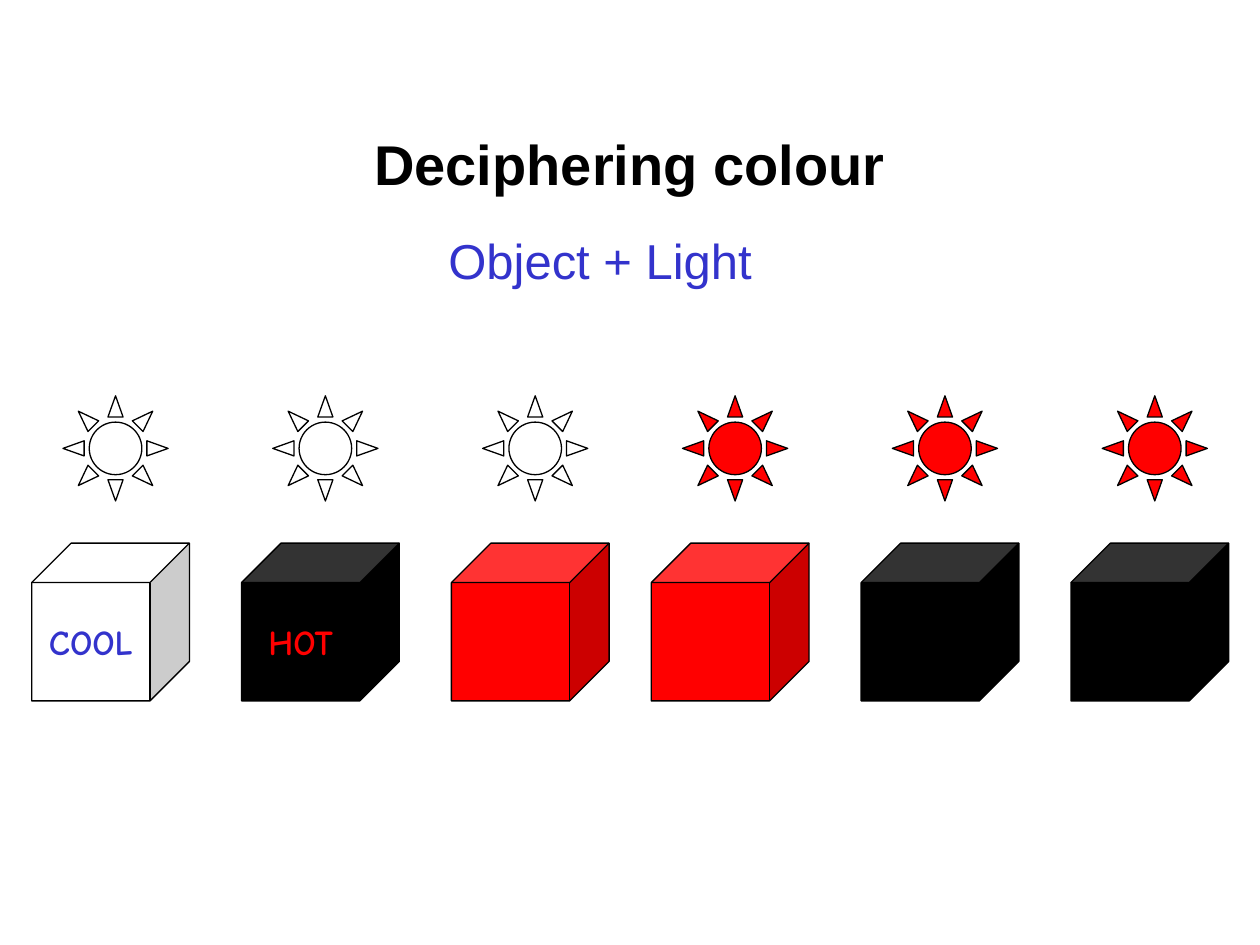
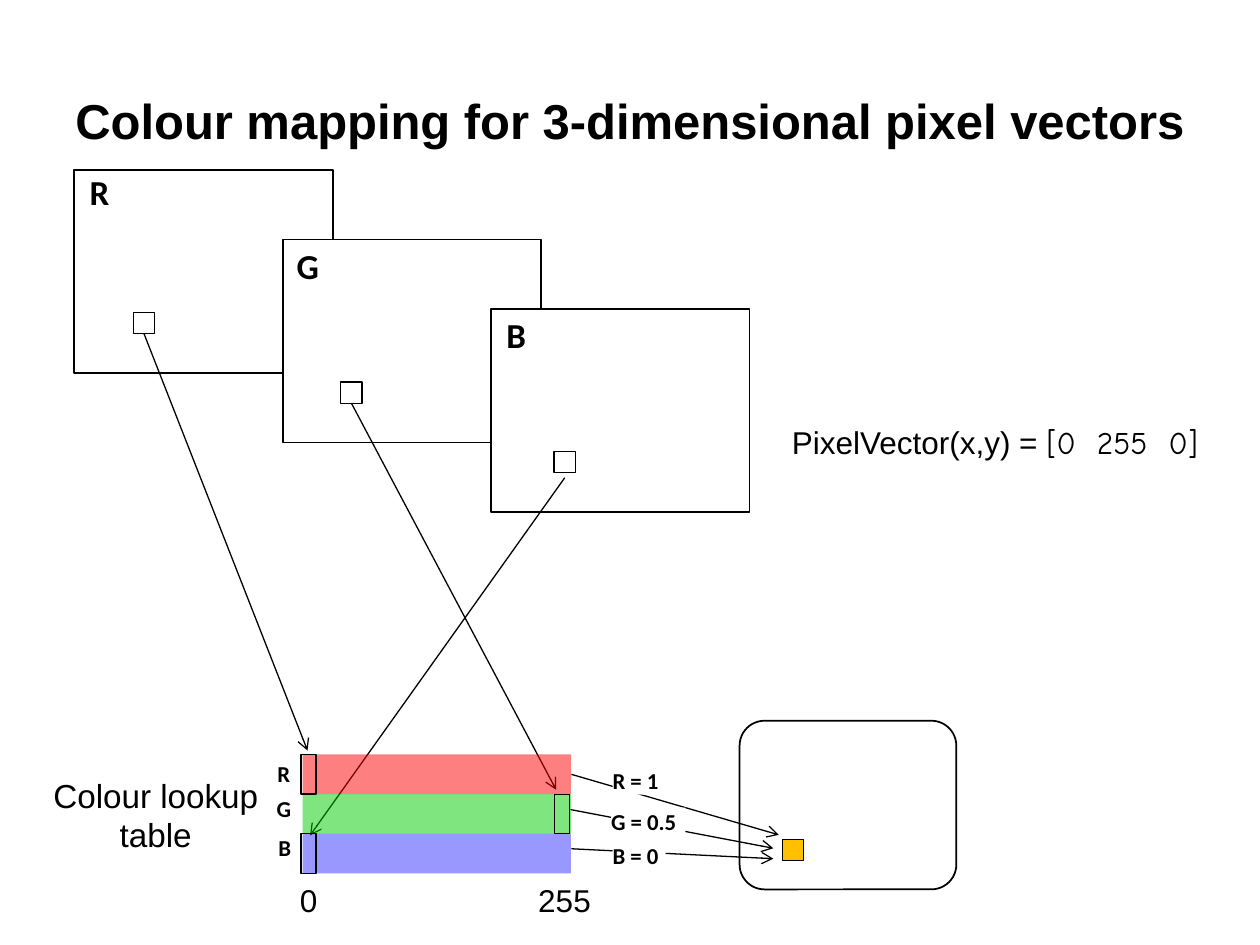
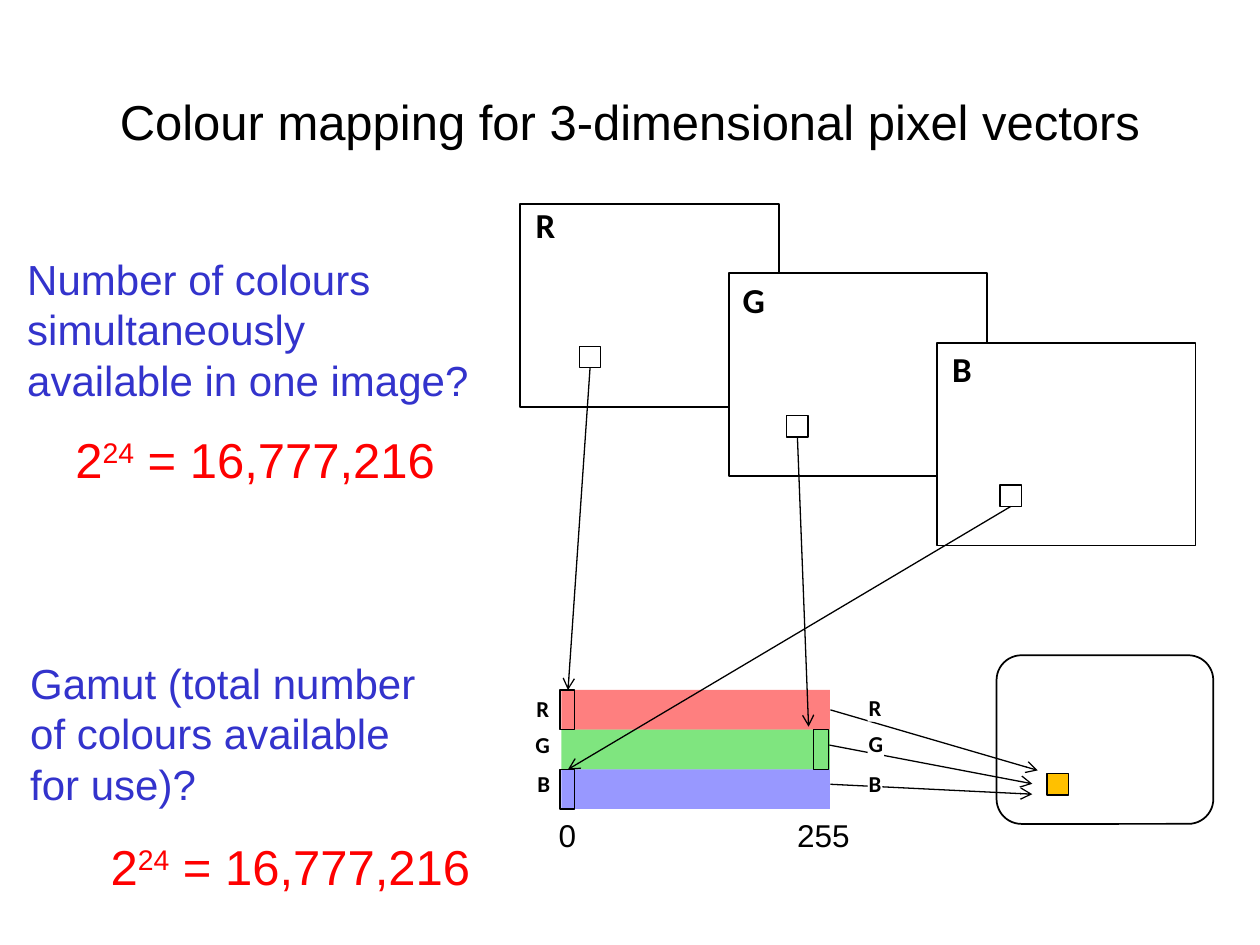
from dataclasses import dataclass

from lxml.etree import SubElement
from pptx import Presentation
from pptx.dml.color import RGBColor
from pptx.enum.shapes import MSO_CONNECTOR as LINK, MSO_SHAPE as FORM
from pptx.enum.text import MSO_ANCHOR as ANCHOR, MSO_AUTO_SIZE as FIT, PP_ALIGN as ALIGN
from pptx.oxml.ns import qn
from pptx.util import Cm, Pt


@dataclass(frozen=True)
class Theme:
    black: str = "000000"
    white: str = "FFFFFF"
    blue: str = "3333CC"
    red: str = "FF0000"
    answer: str = "FE0000"
    amber: str = "FFC000"
    bands: tuple = ("FE0000", "00CC00", "3333FF")
    sans: str = "Arial"
    label: str = "Calibri"
    comic: str = "Comic Neue"
    thin: float = 0.75
    frame: float = 1


THEME = Theme()
STYLES = {
    "opening": dict(name=THEME.sans, size=Pt(32), bold=True),
    "heading": dict(name=THEME.sans, size=Pt(28), bold=True),
    "large": dict(name=THEME.sans, size=Pt(28), bold=False),
    "question": dict(name=THEME.sans, size=Pt(24)),
    "caption": dict(name=THEME.sans, size=Pt(19)),
    "plain": dict(name=THEME.sans, size=Pt(18)),
    "face": dict(name=THEME.comic, size=Pt(20), bold=True),
    "channel": dict(name=THEME.label, size=Pt(20), bold=True),
    "small": dict(name=THEME.label, size=Pt(13), bold=True),
}

CHANNELS = ("R", "G", "B")
MAPPING_TITLE = "Colour mapping for 3-dimensional pixel vectors"

CUBE_GROUPS = [
    (0.64, THEME.white, [
        (THEME.white, "COOL", THEME.blue),
        (THEME.black, "HOT", THEME.red),
        (THEME.red, "", THEME.black),
    ]),
    (13.13, THEME.red, [
        (THEME.red, "", THEME.black),
        (THEME.black, "", THEME.black),
        (THEME.black, "", THEME.black),
    ]),
]
CUBE_STEP, CUBE_TOP, CUBE_SIZE = 4.23, 10.95, 3.18
SUN_INSET, SUN_TOP, SUN_SIZE = 0.63, 7.98, 2.12

PANEL_STEP, PANEL_SIZE = (4.2, 1.4), (5.21, 4.09)
PANEL_LABELS = [(0.1, 0), (0.1, 0.1), (0.1, 0.1)]
PIXELS = [(1.19, 2.87), (1.17, 2.87), (1.27, 2.87)]
PIXEL_SIZE = 0.43

BAND_WIDTH, BAND_HEIGHT = 5.41, 0.8
ENTRY_LEFTS, ENTRY_WIDTH = (-0.03, 5.08, -0.03), 0.3
BAND_LABELS = [(-0.53, 0.1), (-0.53, 0.82), (-0.51, 1.6)]
AXIS_LABELS = [("0", -0.36, 0.96), ("255", 4.28, 2)]
AXIS_TOP = 2.42
OUTPUT_ARROWS = [
    ((5.42, 0.4), (9.6, 1.62)),
    ((5.4, 1.11), (9.49, 1.89)),
    ((5.42, 1.9), (9.49, 2.1)),
]
SCREEN_SIZE = (4.37, 3.4)

LOOKUP = dict(
    stack=(1.5, 3.43), table=(6.1, 15.21), screen=(14.91, 14.53), lit=(15.77, 16.92),
    tips=[(0.1, -0.08), (5.11, 0.71), (0.15, 1.63)], start_gaps=(0, 0, 0.1),
    outputs=[("R = 1", 6.25, 0.25, 1.07), ("G = 0.5", 6.22, 1.07, 1.5),
             ("B = 0", 6.25, 1.75, 1.07)],
    output_align=ALIGN.LEFT,
)
GAMUT = dict(
    stack=(10.49, 4.11), table=(11.32, 13.91), screen=(20.09, 13.21), lit=(21.11, 15.6),
    tips=[(0.13, 0), (4.98, 0.74), (0.13, 1.6)], start_gaps=(0, 0, 0),
    outputs=[("R", 6.17, 0.08, 0.3), ("G", 6.17, 0.81, 0.33), ("B", 6.17, 1.6, 0.3)],
    output_align=ALIGN.CENTER,
)

PIXEL_VECTOR = [
    ("PixelVector(x,y) = ", {}, {}),
    *[(part, dict(name=THEME.comic), dict(spc="600") if part == " " else {})
      for part in ("[0", " ", "255", " ", "0]")],
]
COLOUR_COUNT = [("2", {}, {}), ("24", {}, dict(baseline="30000")), (" = 16,777,216", {}, {})]
QUESTIONS = [
    ("Number of colours simultaneously available in one image?",
     (0.3, 4.98, 9.65, 3.3), (1.27, 8.53, 7.75, 1.45)),
    ("Gamut (total number of colours available for use)?",
     (0.36, 13.13, 8.61, 3.3), (1.98, 16.74, 7.75, 1.45)),
]


def apply(target, formats):
    for key, value in formats.items():
        setattr(target, key, value)


def write(frame, text, style, color=THEME.black, align=ALIGN.CENTER):
    lines = [[(line, {}, {})] for line in text.split("\n")] if isinstance(text, str) else [text]
    for index, runs in enumerate(lines):
        paragraph = frame.add_paragraph() if index else frame.paragraphs[0]
        paragraph.alignment = align
        for words, changes, extras in runs:
            run = paragraph.add_run()
            run.text = words
            apply(run.font, {**STYLES[style], **changes})
            run.font.color.rgb = RGBColor.from_string(color)
            for key, value in extras.items():
                run.font._element.set(key, value)


def place(slide, box, text, style, color=THEME.black, align=ALIGN.CENTER,
          wrap=False, tight=False, fill=None):
    label = slide.shapes.add_textbox(*map(Cm, box))
    frame = label.text_frame
    apply(frame, dict(word_wrap=wrap, auto_size=FIT.SHAPE_TO_FIT_TEXT))
    if tight:
        apply(frame, dict(margin_left=0, margin_right=0, margin_top=0, margin_bottom=0))
    if fill:
        label.fill.solid()
        label.fill.fore_color.rgb = RGBColor.from_string(fill)
    write(frame, text, style, color, align)


def draw(slide, form, box, fill=None, line=THEME.thin, opacity=None, adjust=None):
    shape = slide.shapes.add_shape(form, *map(Cm, box))
    shape.shadow.inherit = False
    if adjust is not None:
        shape.adjustments[0] = adjust
    if fill:
        shape.fill.solid()
        shape.fill.fore_color.rgb = RGBColor.from_string(fill)
    else:
        shape.fill.background()
    if opacity:
        tint = shape.element.spPr.find(qn("a:solidFill"))[0]
        SubElement(tint, qn("a:alpha")).set("val", str(opacity * 1000))
    if line:
        shape.line.color.rgb = RGBColor.from_string(THEME.black)
        shape.line.width = Pt(line)
    else:
        shape.line.fill.background()
    return shape


def arrow(slide, start, end):
    link = slide.shapes.add_connector(LINK.STRAIGHT, *map(Cm, (*start, *end)))
    link.line.color.rgb = RGBColor.from_string(THEME.black)
    link.line.width = Pt(THEME.thin)
    properties = link._element.spPr
    SubElement(properties.find(qn("a:ln")), qn("a:tailEnd")).set("type", "arrow")
    SubElement(properties, qn("a:effectLst"))


def shift(origin, offset):
    return origin[0] + offset[0], origin[1] + offset[1]


def titled_slide(deck, heading, style, box):
    slide = deck.slides.add_slide(deck.slide_layouts[5])
    title = slide.shapes.title
    apply(title, dict(zip(("left", "top", "width", "height"), map(Cm, box))))
    title.text_frame.vertical_anchor = ANCHOR.MIDDLE
    write(title.text_frame, heading, style)
    return slide


def draw_bands(slide, plan):
    for row, color in enumerate(THEME.bands):
        corner = shift(plan["table"], (0, row * BAND_HEIGHT))
        draw(slide, FORM.RECTANGLE, (*corner, BAND_WIDTH, BAND_HEIGHT), color, None, 50)
    for channel, offset in zip(CHANNELS, BAND_LABELS):
        place(slide, (*shift(plan["table"], offset), 0.3, 0.56), channel, "small", tight=True)


def draw_entries(slide, plan):
    for row, left in enumerate(ENTRY_LEFTS):
        corner = shift(plan["table"], (left, row * BAND_HEIGHT))
        draw(slide, FORM.RECTANGLE, (*corner, ENTRY_WIDTH, BAND_HEIGHT))


def draw_channels(slide, plan):
    corners = [shift(plan["stack"], (PANEL_STEP[0] * n, PANEL_STEP[1] * n)) for n in range(3)]
    for corner in corners:
        draw(slide, FORM.RECTANGLE, (*corner, *PANEL_SIZE), THEME.white, THEME.frame)
    for n, corner in enumerate(corners):
        pixel = shift(corner, PIXELS[n])
        draw(slide, FORM.RECTANGLE, (*pixel, PIXEL_SIZE, PIXEL_SIZE))
        place(slide, (*shift(corner, PANEL_LABELS[n]), 0.81, 0.84), CHANNELS[n],
              "channel", wrap=True, tight=True)
        start = shift(pixel, (PIXEL_SIZE / 2, PIXEL_SIZE + plan["start_gaps"][n]))
        arrow(slide, start, shift(plan["table"], plan["tips"][n]))


def draw_output(slide, plan):
    table = plan["table"]
    draw(slide, FORM.ROUNDED_RECTANGLE, (*plan["screen"], *SCREEN_SIZE),
         THEME.white, THEME.frame, adjust=0.148)
    for value, left, width in AXIS_LABELS:
        place(slide, (*shift(table, (left, AXIS_TOP)), width, 1.02), value, "plain")
    for start, end in OUTPUT_ARROWS:
        arrow(slide, shift(table, start), shift(table, end))
    for value, left, top, width in plan["outputs"]:
        place(slide, (*shift(table, (left, top)), width, 0.56), value, "small",
              align=plan["output_align"], tight=True, fill=THEME.white)
    draw(slide, FORM.RECTANGLE, (*plan["lit"], PIXEL_SIZE, PIXEL_SIZE), THEME.amber)


def build_deciphering(deck):
    slide = titled_slide(deck, "Deciphering colour", "opening", (1.9, 1.7, 21.59, 3.18))
    place(slide, (8.79, 4.52, 7.82, 1.45), "Object + Light", "large", THEME.blue,
          ALIGN.LEFT, wrap=True)
    for start, light, cubes in CUBE_GROUPS:
        for n, (surface, word, ink) in enumerate(cubes):
            left = start + n * CUBE_STEP
            draw(slide, FORM.SUN, (left + SUN_INSET, SUN_TOP, SUN_SIZE, SUN_SIZE), light)
            cube = draw(slide, FORM.CUBE, (left, CUBE_TOP, CUBE_SIZE, CUBE_SIZE), surface)
            if word:
                apply(cube.text_frame, dict(word_wrap=False, vertical_anchor=ANCHOR.MIDDLE))
                write(cube.text_frame, word, "face", ink)


def build_lookup(deck):
    slide = titled_slide(deck, MAPPING_TITLE, "heading", (0.8, 0.82, 23.8, 3.18))
    place(slide, (1.07, 15.62, 4.14, 1.6), "Colour lookup\ntable", "caption", tight=True)
    place(slide, (15.7, 8.41, 8.71, 1.02), PIXEL_VECTOR, "plain")
    for step in (draw_channels, draw_output, draw_bands, draw_entries):
        step(slide, LOOKUP)


def build_gamut(deck):
    slide = titled_slide(deck, MAPPING_TITLE, "large", (1.9, 0.84, 21.59, 3.18))
    for question, question_box, answer_box in QUESTIONS:
        place(slide, question_box, question, "question", THEME.blue, ALIGN.LEFT, wrap=True)
        place(slide, answer_box, COLOUR_COUNT, "large", THEME.answer, ALIGN.LEFT)
    for step in (draw_bands, draw_channels, draw_entries, draw_output):
        step(slide, GAMUT)


def main():
    deck = Presentation()
    apply(deck, dict(slide_width=Cm(25.4), slide_height=Cm(19.05)))
    for build in (build_deciphering, build_lookup, build_gamut):
        build(deck)
    deck.save("out.pptx")


if __name__ == "__main__":
    main()
